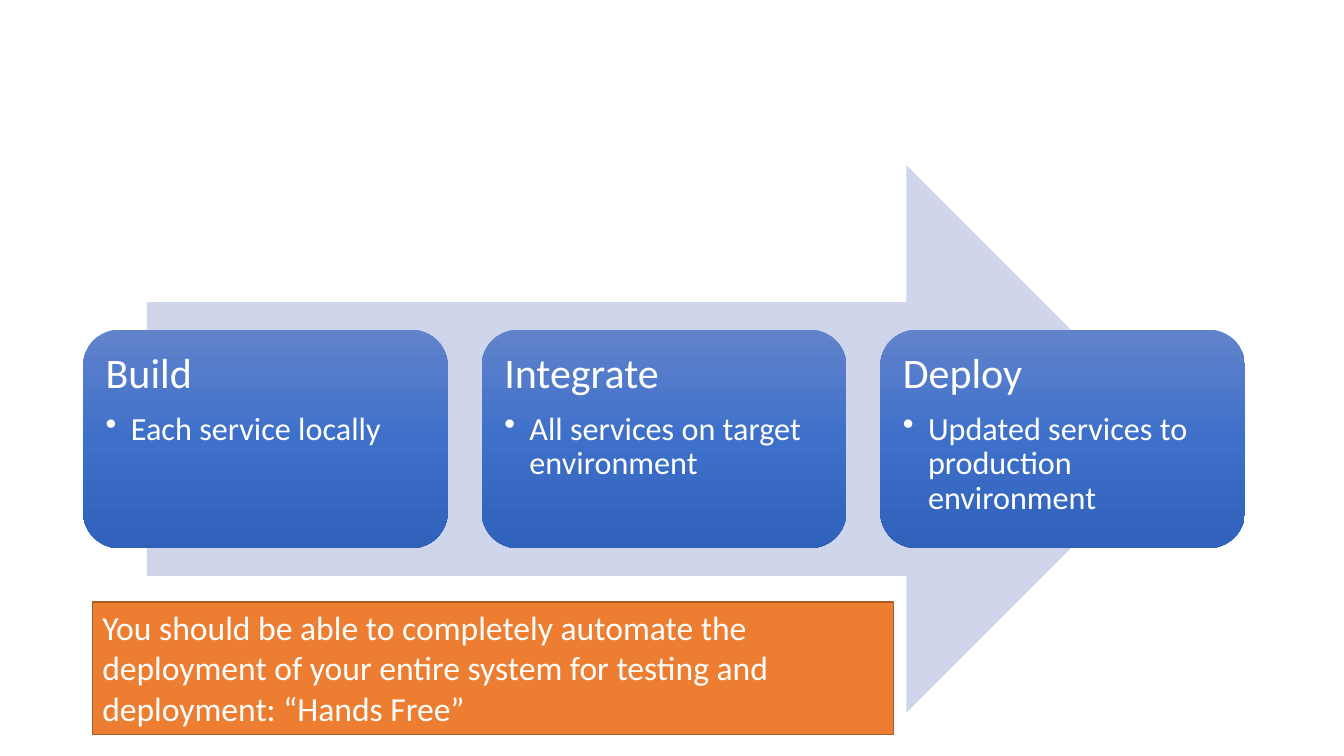
"""Build a slide showing the build, integrate and deploy stages."""
from copy import deepcopy
from dataclasses import dataclass

from pptx import Presentation
from pptx.dml.color import RGBColor
from pptx.enum.shapes import MSO_SHAPE
from pptx.enum.text import MSO_ANCHOR, MSO_AUTO_SIZE, PP_ALIGN
from pptx.oxml.ns import qn
from pptx.util import Pt

RIGHT_ARROW = MSO_SHAPE.RIGHT_ARROW
ROUNDED = MSO_SHAPE.ROUNDED_RECTANGLE
RECTANGLE = MSO_SHAPE.RECTANGLE
TOP = MSO_ANCHOR.TOP
LEFT = PP_ALIGN.LEFT
GROW = MSO_AUTO_SIZE.SHAPE_TO_FIT_TEXT


@dataclass(frozen=True)
class Theme:
    """Colours and type sizes of the slide."""

    font: str = "Calibri"
    text: str = "FFFFFF"
    arrow: str = "CFD5EA"
    card_stops: tuple = ((0, "6183CB"), (0.5, "3E70CA"), (1, "3062BB"))
    note: str = "ED7D31"
    note_line: str = "AF5C24"
    heading_size: int = 30
    bullet_size: int = 23
    note_size: int = 24


THEME = Theme()
STAGES = (
    ("Build", "Each service locally"),
    ("Integrate", "All services on target environment"),
    ("Deploy", "Updated services to production environment"),
)
NOTE = (
    "You should be able to completely automate the deployment of your "
    "entire system for testing and deployment: “Hands Free”"
)
CARD_LEFT, CARD_TOP, CARD_WIDTH, CARD_HEIGHT = 59.3, 235.4, 260.6, 156.2
CARD_PITCH = 284.7
CARD_MARGIN = 8.6
BULLET_INDENT = 18


def add_block(page, kind, left, top, width, height):
    """Add a preset shape without shadow or outline."""
    block = page.shapes.add_shape(kind, Pt(left), Pt(top), Pt(width), Pt(height))
    block.shadow.inherit = False
    block.line.fill.background()
    return block


def fill_solid(block, color):
    """Fill a shape with one colour."""
    block.fill.solid()
    block.fill.fore_color.rgb = RGBColor.from_string(color)


def fill_gradient(block, stops):
    """Fill a shape with three colours from top to bottom."""
    block.fill.gradient()
    block.fill.gradient_angle = 270
    stop_list = block.fill._xPr.find(qn("a:gradFill")).find(qn("a:gsLst"))
    stop_list.append(deepcopy(stop_list[0]))
    for stop, (position, color) in zip(block.fill.gradient_stops, stops):
        stop.position = position
        stop.color.rgb = RGBColor.from_string(color)


def write(para, text, size):
    """Put left-aligned text in a paragraph."""
    para.text = text
    para.alignment = LEFT
    para.font.name = THEME.font
    para.font.size = Pt(size)
    para.font.color.rgb = RGBColor.from_string(THEME.text)


def add_bullet(para):
    """Give a paragraph a hanging bullet."""
    properties = para._p.get_or_add_pPr()
    properties.set("marL", str(Pt(BULLET_INDENT)))
    properties.set("indent", str(-Pt(BULLET_INDENT)))
    mark = properties.makeelement(qn("a:buChar"), {"char": "•"})
    properties.append(mark)


def add_card(page, left, heading, detail):
    """Add a stage card with a heading and one bullet."""
    card = add_block(page, ROUNDED, left, CARD_TOP, CARD_WIDTH, CARD_HEIGHT)
    fill_gradient(card, THEME.card_stops)
    frame = card.text_frame
    frame.word_wrap = True
    frame.vertical_anchor = TOP
    frame.margin_left = frame.margin_right = Pt(CARD_MARGIN)
    frame.margin_top = frame.margin_bottom = Pt(CARD_MARGIN)

    title = frame.paragraphs[0]
    title.line_spacing = 0.9
    title.space_after = Pt(10.5)
    write(title, heading, THEME.heading_size)

    item = frame.add_paragraph()
    item.level = 1
    item.line_spacing = 0.9
    add_bullet(item)
    write(item, detail, THEME.bullet_size)


def add_note(page, text):
    """Add the outlined note below the cards."""
    note = add_block(page, RECTANGLE, 66, 430, 572.4, 94.5)
    fill_solid(note, THEME.note)
    note.line.color.rgb = RGBColor.from_string(THEME.note_line)
    note.line.width = Pt(1)
    frame = note.text_frame
    frame.word_wrap = True
    frame.auto_size = GROW
    frame.vertical_anchor = TOP
    write(frame.paragraphs[0], text, THEME.note_size)


def main():
    """Build and save the deck."""
    deck = Presentation()
    deck.slide_width, deck.slide_height = Pt(960), Pt(540)
    page = deck.slides.add_slide(deck.slide_layouts[6])

    arrow = add_block(page, RIGHT_ARROW, 105, 118.1, 738, 391)
    fill_solid(arrow, THEME.arrow)
    for index, (heading, detail) in enumerate(STAGES):
        add_card(page, CARD_LEFT + index * CARD_PITCH, heading, detail)
    add_note(page, NOTE)

    deck.save("out.pptx")


if __name__ == "__main__":
    main()
